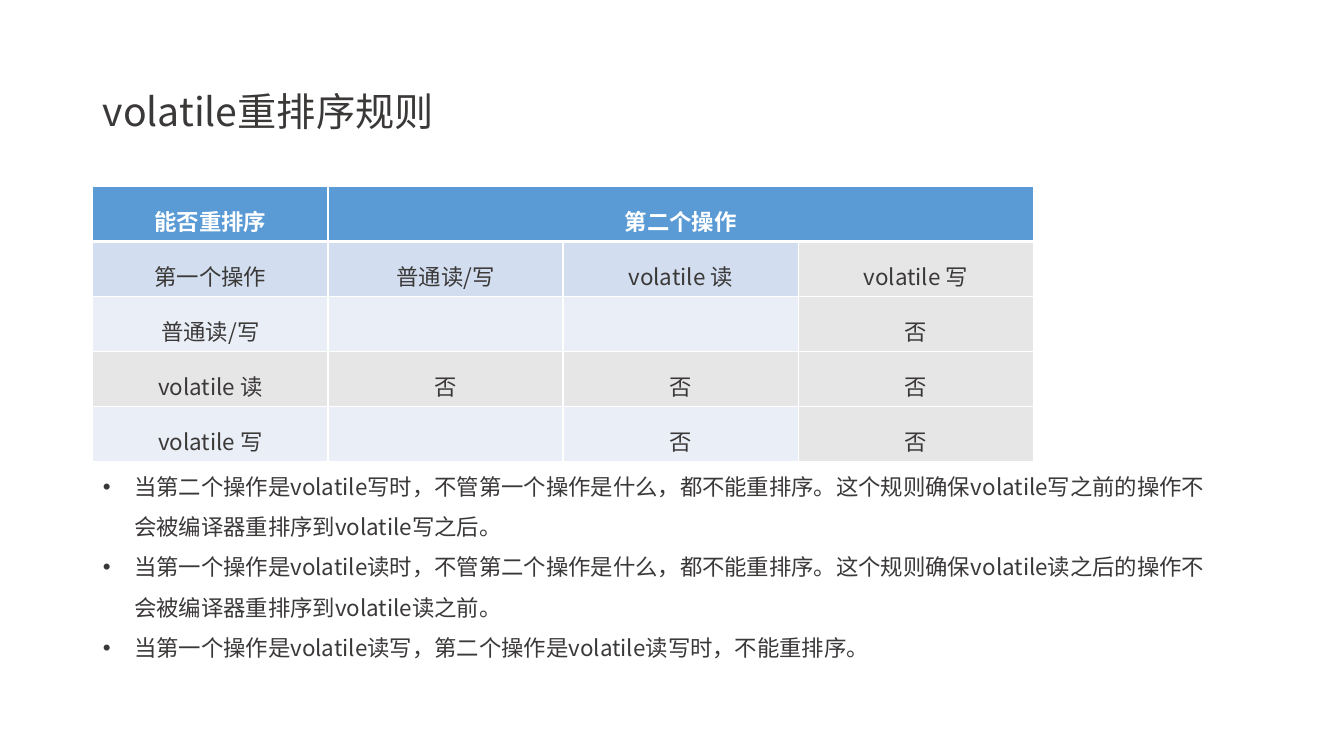
from dataclasses import dataclass

from lxml.etree import SubElement
from pptx import Presentation
from pptx.dml.color import RGBColor
from pptx.enum.text import MSO_ANCHOR, MSO_AUTO_SIZE, PP_ALIGN
from pptx.oxml.ns import qn
from pptx.util import Inches, Pt


@dataclass(frozen=True)
class Theme:
    face: str = "Noto Sans CJK SC"
    ink: str = "3B3838"
    white: str = "FFFFFF"
    head: str = "5B9BD5"
    sub: str = "D2DEEF"
    pale: str = "EAEFF7"
    grey: str = "E7E6E6"
    title: int = 28
    body: int = 16


THEME = Theme()

TITLE = "volatile重排序规则"
RULES = [
    ["能否重排序", "第二个操作", "", ""],
    ["第一个操作", "普通读/写", "volatile 读", "volatile 写"],
    ["普通读/写", "", "", "否"],
    ["volatile 读", "否", "否", "否"],
    ["volatile 写", "", "否", "否"],
]
NOTES = [
    "当第二个操作是volatile写时，不管第一个操作是什么，都不能重排序。"
    "这个规则确保volatile写之前的操作不会被编译器重排序到volatile写之后。",
    "当第一个操作是volatile读时，不管第二个操作是什么，都不能重排序。"
    "这个规则确保volatile读之后的操作不会被编译器重排序到volatile读之前。",
    "当第一个操作是volatile读写，第二个操作是volatile读写时，不能重排序。",
]


def write(frame, lines, size=THEME.body, color=THEME.ink, bold=False,
          align=PP_ALIGN.LEFT, spacing=1.0, bullet=False):
    """Fill a text frame, one paragraph for each line."""
    frame.text = "\n".join(lines)
    for para in frame.paragraphs:
        if bullet:
            props = para._p.get_or_add_pPr()
            props.set("marL", str(Inches(0.31)))
            props.set("indent", str(-Inches(0.31)))
            SubElement(props, qn("a:buFont"), typeface="Arial")
            SubElement(props, qn("a:buChar"), char="•")
        para.alignment = align
        para.line_spacing = spacing
        para.space_before = Pt(0)
        for run in para.runs:
            font = run.font
            font.name = THEME.face
            font.size = Pt(size)
            font.bold = bold
            font.color.rgb = RGBColor.from_string(color)
            SubElement(run._r.get_or_add_rPr(), qn("a:ea"), typeface=THEME.face)


def place(shape, left, top, width, height):
    shape.left, shape.top = Inches(left), Inches(top)
    shape.width, shape.height = Inches(width), Inches(height)


def edge(cell, row):
    """Draw white cell borders, thick under the header row."""
    widths = {"L": 1, "R": 1, "T": 3 if row == 1 else 1, "B": 3 if row == 0 else 1}
    props = cell._tc.get_or_add_tcPr()
    for side, width in widths.items():
        line = SubElement(props, qn(f"a:ln{side}"), w=str(Pt(width)))
        fill = SubElement(line, qn("a:solidFill"))
        SubElement(fill, qn("a:srgbClr"), val=THEME.white)


def shade(row, col):
    """Grey marks the row and column where reordering is never allowed."""
    if row == 0:
        return THEME.head
    if row == 3 or col == 3:
        return THEME.grey
    return THEME.sub if row == 1 else THEME.pale


def heading(slide, *box):
    title = slide.shapes.title
    place(title, *box)
    title.text_frame.vertical_anchor = MSO_ANCHOR.MIDDLE
    write(title.text_frame, [TITLE], size=THEME.title, spacing=0.9)


def matrix(slide, *box):
    grid = slide.shapes.add_table(len(RULES), len(RULES[0]), *map(Inches, box)).table
    grid.cell(0, 1).merge(grid.cell(0, 3))
    for row, words in enumerate(RULES):
        for col, word in enumerate(words):
            cell = grid.cell(row, col)
            if cell.is_spanned:
                continue
            edge(cell, row)
            cell.fill.solid()
            cell.fill.fore_color.rgb = RGBColor.from_string(shade(row, col))
            cell.vertical_anchor = MSO_ANCHOR.MIDDLE
            if word:
                write(cell.text_frame, [word], align=PP_ALIGN.CENTER, spacing=1.4,
                      bold=row == 0, color=THEME.ink if row else THEME.white)


def notes(slide, *box):
    body = slide.placeholders[1]
    place(body, *box)
    frame = body.text_frame
    frame.word_wrap = True
    frame.auto_size = MSO_AUTO_SIZE.SHAPE_TO_FIT_TEXT
    frame.vertical_anchor = MSO_ANCHOR.TOP
    write(frame, NOTES, spacing=1.5, bullet=True)


def main():
    deck = Presentation()
    deck.slide_width, deck.slide_height = Inches(13.33), Inches(7.5)
    slide = deck.slides.add_slide(deck.slide_layouts[1])
    heading(slide, 0.92, 0.4, 11.5, 1.45)
    matrix(slide, 0.92, 1.85, 9.33, 2.73)
    notes(slide, 0.92, 4.51, 11.21, 2.1)
    deck.save("out.pptx")


if __name__ == "__main__":
    main()
